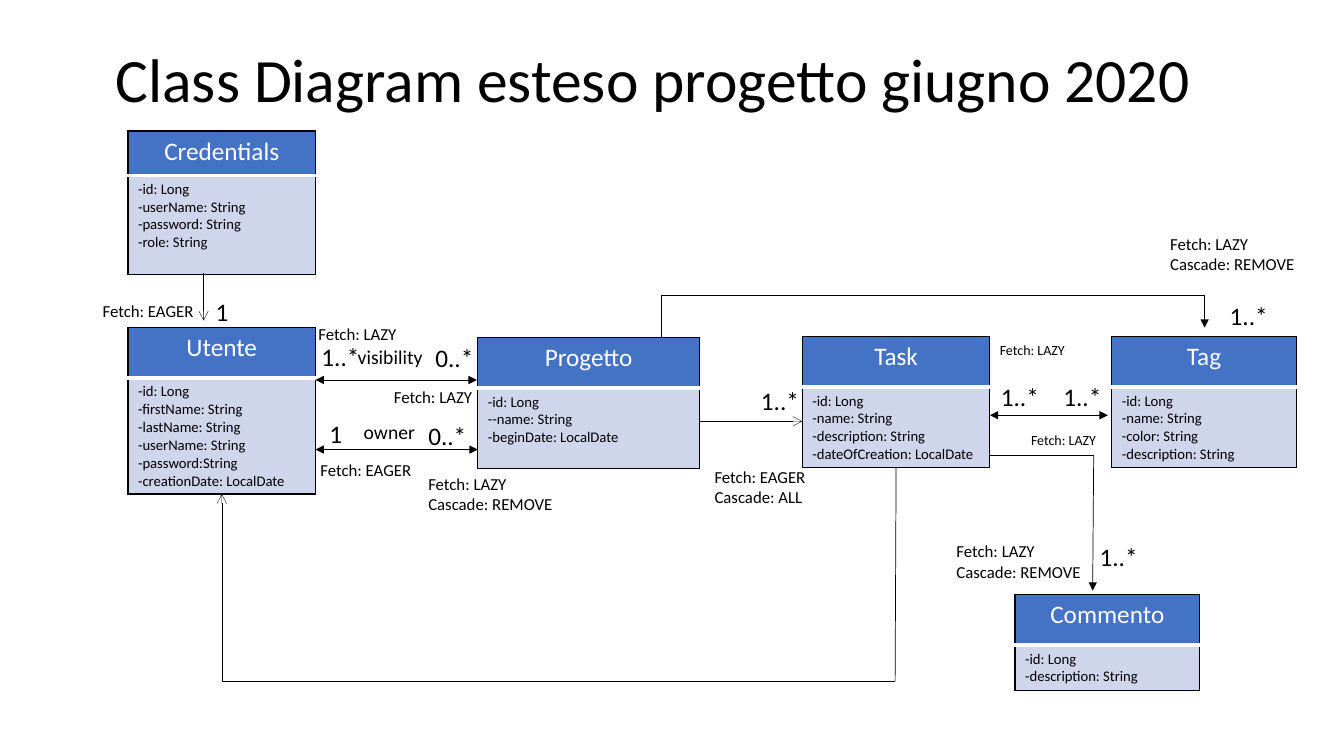
from lxml import etree
from pptx import Presentation, util as u
from pptx.dml.color import RGBColor
from pptx.enum import shapes, text
from pptx.oxml import ns

# The grid has ten columns and ten rows to the inch.
COLS, ROWS = 133.33, 75
BLACK, WHITE, BLUE, PALE = "000000", "FFFFFF", "4472C4", "CFD5EA"
LAZY, EAGER = "Fetch: LAZY", "Fetch: EAGER"
REMOVE = [LAZY, "Cascade: REMOVE"]


def grid(*steps):
    return [u.Inches(n / 10) for n in steps]


def color(code):
    return RGBColor.from_string(code)


def write(frame, lines, size=12, ink=BLACK, align=text.PP_ALIGN.LEFT, space=None):
    """Fill a text frame with one paragraph per line."""
    for i, line in enumerate(lines):
        para = frame.paragraphs[0] if i == 0 else frame.add_paragraph()
        para.alignment = align
        para.line_spacing = space
        run = para.add_run()
        run.text = line
        font = run.font
        font.name, font.size, font.bold = "Calibri", u.Pt(size), False
        font.color.rgb = color(ink)


def label(slide, box, lines, wrap=True, **style):
    frame = slide.shapes.add_textbox(*grid(*box)).text_frame
    frame.word_wrap = wrap
    frame.auto_size = text.MSO_AUTO_SIZE.SHAPE_TO_FIT_TEXT
    write(frame, lines, **style)


def title(slide, box, line):
    frame = slide.shapes.add_textbox(*grid(*box)).text_frame
    frame.word_wrap = True
    frame.vertical_anchor = text.MSO_ANCHOR.MIDDLE
    write(frame, [line], size=44, align=text.PP_ALIGN.CENTER, space=0.9)


def border(cell, **sides):
    """Give sides L, R, T and B, in that order, as (colour, points)."""
    props = cell._tc.get_or_add_tcPr()
    for i, (side, (ink, width)) in enumerate(sides.items()):
        line = etree.Element(ns.qn(f"a:ln{side}"), w=str(u.Pt(width)))
        fill = etree.SubElement(line, ns.qn("a:solidFill"))
        etree.SubElement(fill, ns.qn("a:srgbClr"), val=ink)
        props.insert(i, line)


def entity(slide, box, name, fields, head=5):
    """Draw a class as a name row over a row of fields."""
    frame = slide.shapes.add_table(2, 1, *grid(*box))
    table = frame.table
    for row, high in zip(table.rows, grid(head, box[3] - head)):
        row.height = high
    top, body = table.cell(0, 0), table.cell(1, 0)
    for cell, fill in ((top, BLUE), (body, PALE)):
        cell.fill.solid()
        cell.fill.fore_color.rgb = color(fill)
    write(top.text_frame, [name], size=18, ink=WHITE, align=text.PP_ALIGN.CENTER)
    write(body.text_frame, fields, size=10.5)
    edge = (BLACK, 1)
    border(top, L=edge, R=edge, T=edge, B=(WHITE, 3))
    border(body, L=edge, R=edge, T=(WHITE, 1), B=edge)
    return frame


def link(slide, start, end, width=0.5, head=None, tail=None):
    line = slide.shapes.add_connector(
        shapes.MSO_CONNECTOR.STRAIGHT, *grid(*start, *end))
    line.line.color.rgb = color(BLACK)
    line.line.width = u.Pt(width)
    stroke = line.line._get_or_add_ln()
    for tag, kind in (("headEnd", head), ("tailEnd", tail)):
        if kind:
            etree.SubElement(stroke, ns.qn(f"a:{tag}"), type=kind)
    etree.SubElement(line._element.spPr, ns.qn("a:effectLst"))
    return line


def route(slide, points, tail=None, last=0.5):
    """Join points with straight links; the last one has the arrow."""
    pairs = list(zip(points, points[1:]))
    links = [link(slide, *pair) for pair in pairs[:-1]]
    return links + [link(slide, *pairs[-1], width=last, tail=tail)]


def classes(slide):
    rows = [
        ("Credentials", (12.7, 13, 18.6, 14.2), 4.4,
         ["-id: Long", "-userName: String", "-password: String", "-role: String"]),
        ("Utente", (12.7, 32.5, 18.6, 16.5), 5,
         ["-id: Long", "-firstName: String", "-lastName: String",
          "-userName: String", "-password:String", "-creationDate: LocalDate"]),
        ("Progetto", (47.4, 33.5, 22, 13), 5,
         ["-id: Long", "--name: String", "-beginDate: LocalDate"]),
        ("Task", (79.6, 33.4, 18.6, 13), 5,
         ["-id: Long", "-name: String", "-description: String",
          "-dateOfCreation: LocalDate"]),
        ("Tag", (110.3, 33.4, 18.3, 13), 5,
         ["-id: Long", "-name: String", "-color: String", "-description: String"]),
        ("Commento", (100.7, 59, 18.3, 9.5), 5,
         ["-id: Long", "-description: String"]),
    ]
    return {name: entity(slide, box, name, fields, head)
            for name, box, head, fields in rows}


def links(slide, nodes):
    for left, right, y in ((31.3, 47.4, 44.6), (31.3, 47.3, 37.7), (98.2, 109.9, 41.2)):
        link(slide, (left, y), (right, y), head="triangle", tail="triangle")
    link(slide, (69.4, 41.8), (79.6, 41.8), width=0.25, tail="arrow")
    link(slide, (20.2, 27.1), (20.2, 31.8), width=0.25, tail="arrow")
    route(slide, [(98.2, 45.2), (108.5, 45.2), (108.4, 58.6)], tail="triangle")
    route(slide, [(65.6, 33.4), (65.6, 29.3), (119.5, 29.3), (119.5, 32.5)],
          tail="triangle")
    back = route(slide, [(88.9, 46.4), (88.8, 67.6), (22, 67.6), (22, 49.1)],
                 tail="arrow", last=0.25)
    back[0].begin_connect(nodes["Task"], 2)
    back[-1].end_connect(nodes["Utente"], 2)


def counts(slide):
    for mark, wide, spots in (
        ("1", 3.3, [(20.4, 28.9), (31.7, 41)]),
        ("0..*", 5.8, [(41.5, 41.2), (42.2, 33.5)]),
        ("1..*", 5.8, [(74.5, 37.7), (30.9, 33.4), (104.5, 37.3), (98.3, 37.3),
                       (108.1, 53.2), (121, 29.3)]),
    ):
        for x, y in spots:
            label(slide, (x, y, wide, 4), [mark], wrap=False, size=18)


def notes(slide):
    label(slide, (35.1, 41.2, 7.1, 3.4), ["owner"], size=14)
    label(slide, (34.5, 33.7, 9.2, 3.4), ["visibility"], size=14)
    for x, y, lines in (
        (38.1, 37.9, [LAZY]), (30.6, 31.6, [LAZY]),
        (30.8, 45.1, [EAGER]), (9.2, 29.3, [EAGER]),
        (41.5, 46.5, REMOVE), (115.1, 22.7, REMOVE), (93.9, 53.2, REMOVE),
        (69.9, 45.8, [EAGER, "Cascade: ALL"]),
    ):
        label(slide, (x, y, 14.8, 5), lines)
    for x, y in ((101.3, 42.3), (98.2, 33.4)):
        label(slide, (x, y, 8.8, 2.7), [LAZY], size=10)


def main():
    deck = Presentation()
    deck.slide_width, deck.slide_height = grid(COLS, ROWS)
    slide = deck.slides.add_slide(deck.slide_layouts[6])
    title(slide, (7.3, 0.9, 115, 14.5), "Class Diagram esteso progetto giugno 2020")
    links(slide, classes(slide))
    counts(slide)
    notes(slide)
    deck.save("out.pptx")


if __name__ == "__main__":
    main()
